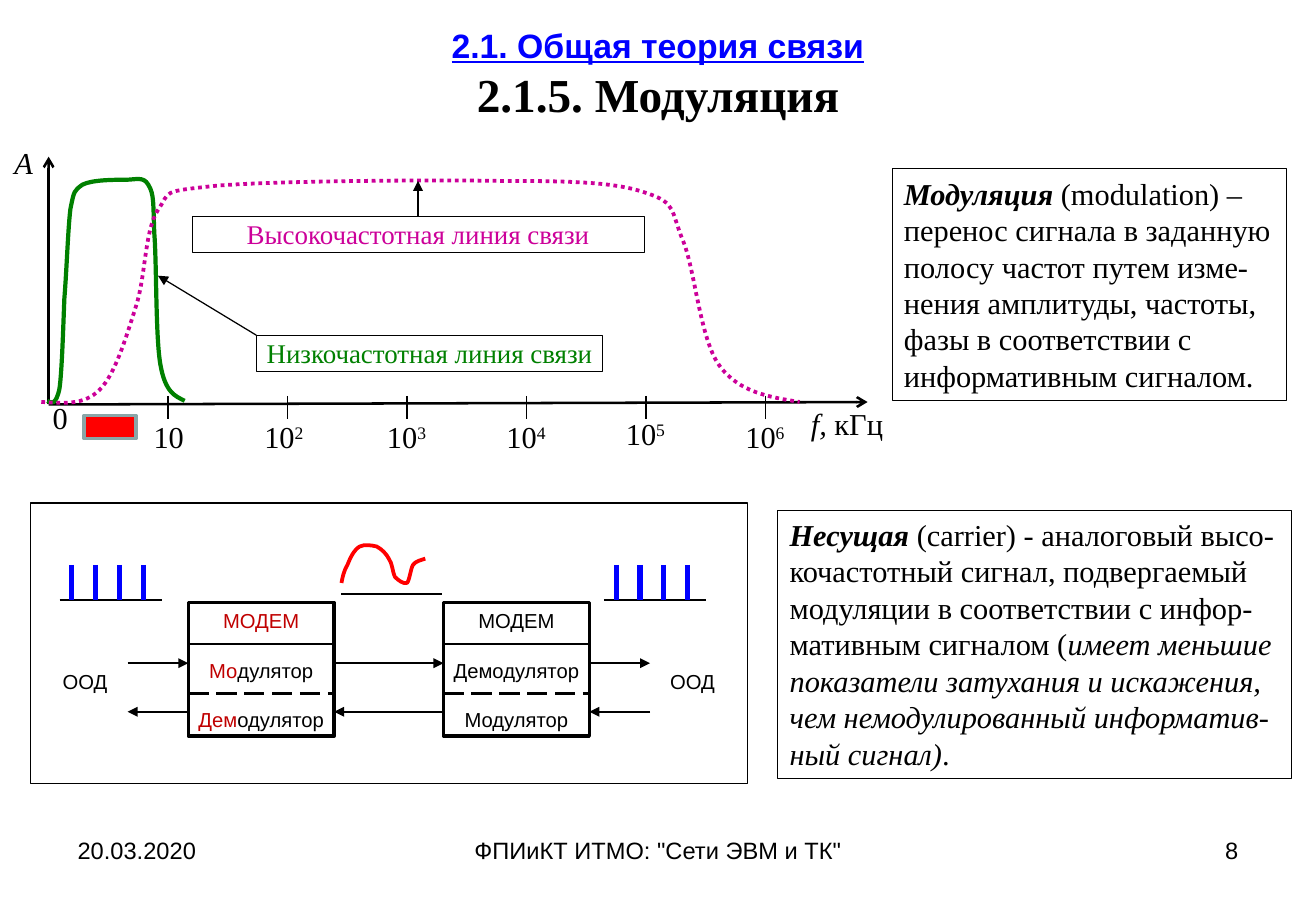
import pptx
import pptx.dml.color
import pptx.enum.dml
import pptx.enum.shapes
import pptx.enum.text
import pptx.oxml.ns
import pptx.util
import lxml.etree

Inches, Pt = pptx.util.Inches, pptx.util.Pt
RGB = pptx.dml.color.RGBColor.from_string
ALIGN = pptx.enum.text.PP_ALIGN
DASH = pptx.enum.dml.MSO_LINE
RECTANGLE = pptx.enum.shapes.MSO_SHAPE.RECTANGLE
qn = pptx.oxml.ns.qn

THEME = {
    "black": RGB("000000"), "white": RGB("FFFFFF"), "blue": RGB("0000FF"),
    "green": RGB("008000"), "magenta": RGB("CC0099"), "red": RGB("FF0000"),
    "dark red": RGB("C00000"), "gray": RGB("8AA6A8"),
    "sans": "Arial", "serif": "Times New Roman",
    "heading": Pt(28), "section": Pt(20), "body": Pt(18),
    "caption": Pt(16), "footer": Pt(14), "block": Pt(12),
}
SERIF = {"name": THEME["serif"], "size": THEME["body"]}
CAPTION = {"name": THEME["serif"], "size": THEME["caption"]}
FOOTER = {"name": THEME["sans"], "size": THEME["footer"]}
BLOCK = {"name": THEME["sans"], "size": THEME["block"]}
TIGHT = (0.02, 0.01, 0.02, 0.01)

deck = pptx.Presentation()
deck.slide_width, deck.slide_height = Inches(10.83), Inches(7.5)
page = deck.slides.add_slide(deck.slide_layouts[5])
shapes = page.shapes


def add_box(place, paras=(), base=SERIF, align=ALIGN.CENTER, outline=None, fill=None,
            insets=(0.1, 0.05, 0.1, 0.05), gap=0, line_color="black"):
    """Each paragraph is a list of spans: (text, colour, extra font values)."""
    place = [Inches(length) for length in place]
    if outline:
        box = shapes.add_shape(RECTANGLE, *place)
        box.shadow.inherit = False
        box.line.color.rgb, box.line.width = THEME[line_color], Pt(outline)
        if fill:
            box.fill.solid()
            box.fill.fore_color.rgb = THEME[fill]
        else:
            box.fill.background()
    else:
        box = shapes.add_textbox(*place)
    frame = box.text_frame
    frame.word_wrap = True
    frame.vertical_anchor = pptx.enum.text.MSO_ANCHOR.TOP
    for side, inset in zip(("left", "top", "right", "bottom"), insets):
        setattr(frame, f"margin_{side}", Inches(inset))
    for number, spans in enumerate(paras):
        para = frame.add_paragraph() if number else frame.paragraphs[0]
        para.alignment = align
        para.space_before = Pt(gap if number else 0)
        for text, color, extra in spans:
            span = para.add_run()
            span.text = text
            span.font.color.rgb = THEME[color]
            values = {**base, **extra}
            baseline = values.pop("baseline", None)
            for name, value in values.items():
                setattr(span.font, name, value)
            if baseline:
                span._r.get_or_add_rPr().set("baseline", str(baseline))


def add_line(x1, y1, x2, y2, width=0.75, color="black", arrow=None, dash=None):
    line = shapes.add_connector(pptx.enum.shapes.MSO_CONNECTOR.STRAIGHT,
                                *(Inches(length) for length in (x1, y1, x2, y2)))
    line.line.color.rgb, line.line.width = THEME[color], Pt(width)
    if dash:
        line.line.dash_style = dash
    if arrow:
        lxml.etree.SubElement(line.line._get_or_add_ln(), qn("a:tailEnd"), type=arrow)
    lxml.etree.SubElement(line._element.spPr, qn("a:effectLst"))


# Title
title = shapes.title
title.left, title.top, title.width, title.height = (
    Inches(length) for length in (0.54, 0, 9.75, 1.21))
title.text_frame.vertical_anchor = pptx.enum.text.MSO_ANCHOR.MIDDLE
para = title.text_frame.paragraphs[0]
para.alignment = ALIGN.CENTER
for text, color, values in (
        ("2.1. Общая теория связи", "blue",
         {"name": THEME["sans"], "size": THEME["section"], "bold": True, "underline": True}),
        ("2.1.5. Модуляция", "black",
         {"name": THEME["serif"], "size": THEME["heading"], "bold": True})):
    if para.runs:
        para.add_line_break()
    span = para.add_run()
    span.text = text
    span.font.color.rgb = THEME[color]
    for name, value in values.items():
        setattr(span.font, name, value)

# Frequency axes, one tick a decade
ORIGIN, AXIS, DECADE = 0.4, 3.33, 5.9 / 6
add_line(ORIGIN, AXIS, ORIGIN, 1.29, 1.5, arrow="arrow")
add_line(ORIGIN, AXIS, 7.14, 3.31, 1.5, arrow="arrow")
add_box((0, 1.14, 0.39, 0.4), [[("А", "black", {"italic": True})]])
add_box((0.25, 3.28, 0.49, 0.32), [[("0", "black", {})]], insets=TIGHT)
add_box((6.65, AXIS, 0.64, 0.32),
        [[("f, ", "black", {"italic": True}), ("кГц", "black", {})]], insets=TIGHT)
for power, width in enumerate((0.39, 0.44, 0.49, 0.49, 0.49, 0.49), start=1):
    tick = ORIGIN + power * DECADE
    add_line(tick, 3.26, tick, 3.45)
    label = [("10", "black", {})]
    if power > 1:
        label.append((str(power), "black", {"baseline": 30000}))
    left = tick - (0.25 if power > 1 else 0.19)
    add_box((left, 3.41 if power == 5 else 3.43, width, 0.32), [label], insets=TIGHT)

# Smooth curves: a start point, then two handles and an end for each Bezier piece
CURVES = (
    ("green", 2.5, None, [
        (0.39, 3.3), (0.42, 3.32), (0.46, 3.34), (0.49, 3.2), (0.51, 3.06), (0.52, 2.71),
        (0.53, 2.46), (0.55, 2.21), (0.56, 1.88), (0.58, 1.72), (0.61, 1.57), (0.61, 1.57),
        (0.68, 1.52), (0.76, 1.48), (0.94, 1.48), (1.03, 1.48), (1.12, 1.48), (1.18, 1.45),
        (1.22, 1.52), (1.27, 1.6), (1.26, 1.67), (1.27, 1.92), (1.29, 2.16), (1.28, 2.77),
        (1.32, 3), (1.36, 3.23), (1.44, 3.26), (1.52, 3.3)]),
    ("magenta", 2.25, DASH.ROUND_DOT, [
        (0.34, 3.31), (0.52, 3.32), (0.69, 3.34), (0.82, 3.21), (0.95, 3.08), (1.04, 2.77),
        (1.12, 2.52), (1.2, 2.27), (1.19, 1.9), (1.3, 1.73), (1.41, 1.57), (1.31, 1.58),
        (1.78, 1.53), (2.25, 1.49), (3.53, 1.48), (4.12, 1.49), (4.71, 1.49), (5.07, 1.5),
        (5.32, 1.59), (5.57, 1.67), (5.52, 1.74), (5.62, 1.98), (5.72, 2.22), (5.76, 2.79),
        (5.92, 3.01), (6.08, 3.23), (6.33, 3.27), (6.58, 3.31)]),
    ("red", 2.25, None, [
        (2.81, 4.8), (2.82, 4.75), (2.83, 4.7), (2.86, 4.65), (2.88, 4.6), (2.91, 4.53),
        (2.96, 4.5), (3, 4.48), (3.06, 4.49), (3.1, 4.5), (3.14, 4.52), (3.18, 4.56),
        (3.2, 4.6), (3.23, 4.64), (3.23, 4.71), (3.25, 4.75), (3.28, 4.78), (3.32, 4.81),
        (3.35, 4.8), (3.37, 4.78), (3.38, 4.68), (3.4, 4.65), (3.42, 4.62), (3.47, 4.61),
        (3.5, 4.6)]),
)
for color, width, dash, points in CURVES:
    points = [(Inches(x), Inches(y)) for x, y in points]
    builder = shapes.build_freeform(*points[0])
    builder.add_line_segments(points[1:], close=False)
    curve = builder.convert_to_shape()
    curve.shadow.inherit = False
    curve.fill.background()
    curve.line.color.rgb, curve.line.width = THEME[color], Pt(width)
    if dash:
        curve.line.dash_style = dash
    # Every three straight segments become one cubic piece
    segments = list(curve._element.iter(qn("a:lnTo")))
    outline = segments[0].getparent()
    for number, segment in enumerate(segments):
        if number % 3 == 0:
            piece = lxml.etree.SubElement(outline, qn("a:cubicBezTo"))
        piece.append(segment[0])
        outline.remove(segment)

# Curve captions
for place, text, color, fill, pointer in (
        ((2.11, 2.76, 2.85, 0.3), "Низкочастотная линия связи", "green", "white",
         (2.11, 2.76, 1.3, 2.27)),
        ((1.58, 1.78, 3.72, 0.3), "Высокочастотная линия связи", "magenta", None,
         (3.44, 1.78, 3.44, 1.49))):
    add_box(place, [[(text, color, {})]], CAPTION, outline=0.5, fill=fill,
            insets=(0, 0.01, 0, 0.01))
    add_line(*pointer, arrow="triangle")
add_box((0.69, 3.42, 0.43, 0.19), outline=2, fill="red", line_color="gray")

# Definitions
TERM = {"bold": True, "italic": True}
add_box((7.34, 1.39, 3.25, 1.91), [[
    ("Модуляция", "black", TERM),
    (" (modulation) – перенос сигнала в заданную полосу частот путем изме-нения "
     "амплитуды, частоты, фазы в соответствии с информативным сигналом.", "black", {}),
]], align=ALIGN.LEFT, outline=0.5)
add_box((6.4, 4.2, 4.23, 2.21), [[
    ("Несущая ", "black", TERM),
    ("(carrier) - аналоговый высо-кочастотный сигнал, подвергаемый модуляции "
     "в соответствии с инфор-мативным сигналом (", "black", {}),
    ("имеет меньшие показатели затухания и искажения, чем немодулированный "
     "информатив-ный сигнал)", "black", {"italic": True}),
    (".", "black", {}),
]], align=ALIGN.LEFT, outline=0.5)

# Modem diagram
add_box((0.25, 4.14, 5.9, 2.31), outline=0.75)
MODEM = 1.2
for left, rows in (
        (1.55, [[("МОДЕМ", "dark red", {})],
                [("Мо", "dark red", {}), ("дулятор", "black", {})],
                [("Дем", "dark red", {}), ("одулятор", "black", {})]]),
        (3.65, [[(text, "black", {})] for text in ("МОДЕМ", "Демодулятор", "Модулятор")])):
    add_box((left, 4.96, MODEM, 1.1), rows, BLOCK, outline=2,
            insets=(0.02, 0.05, 0.02, 0.01), gap=15)
    add_line(left, 5.3, left + MODEM, 5.3, 1.5)
    add_line(left, 5.71, left + MODEM, 5.71, 1.5, dash=DASH.LONG_DASH)
for start, end in ((1.05, 1.55), (2.75, 3.65), (4.85, 5.35)):
    add_line(start, 5.46, end, 5.46, 1, arrow="triangle")
    add_line(end, 5.86, start, 5.86, 1, arrow="triangle")
for left in (0.45, 5.45):
    add_box((left, 5.46, 0.5, 0.4), [[("ООД", "black", {})]], BLOCK,
            insets=(0.02, 0.05, 0.02, 0.05))
for left in (0.49, 4.97):
    add_line(left, 4.94, left + 0.84, 4.94)
    for pulse in range(4):
        x = left + 0.1 + pulse * 0.59 / 3
        add_line(x, 4.65, x, 4.94, 3, "blue")
add_line(2.81, 4.89, 3.64, 4.89)

# Footer
for left, width, text, align in (
        (0.54, 2.53, "20.03.2020", ALIGN.LEFT),
        (3.7, 3.43, 'ФПИиКТ ИТМО: "Сети ЭВМ и ТК"', ALIGN.CENTER),
        (7.76, 2.53, "8", ALIGN.RIGHT)):
    add_box((left, 6.83, width, 0.52), [[(text, "black", {})]], FOOTER, align)

deck.save("out.pptx")
